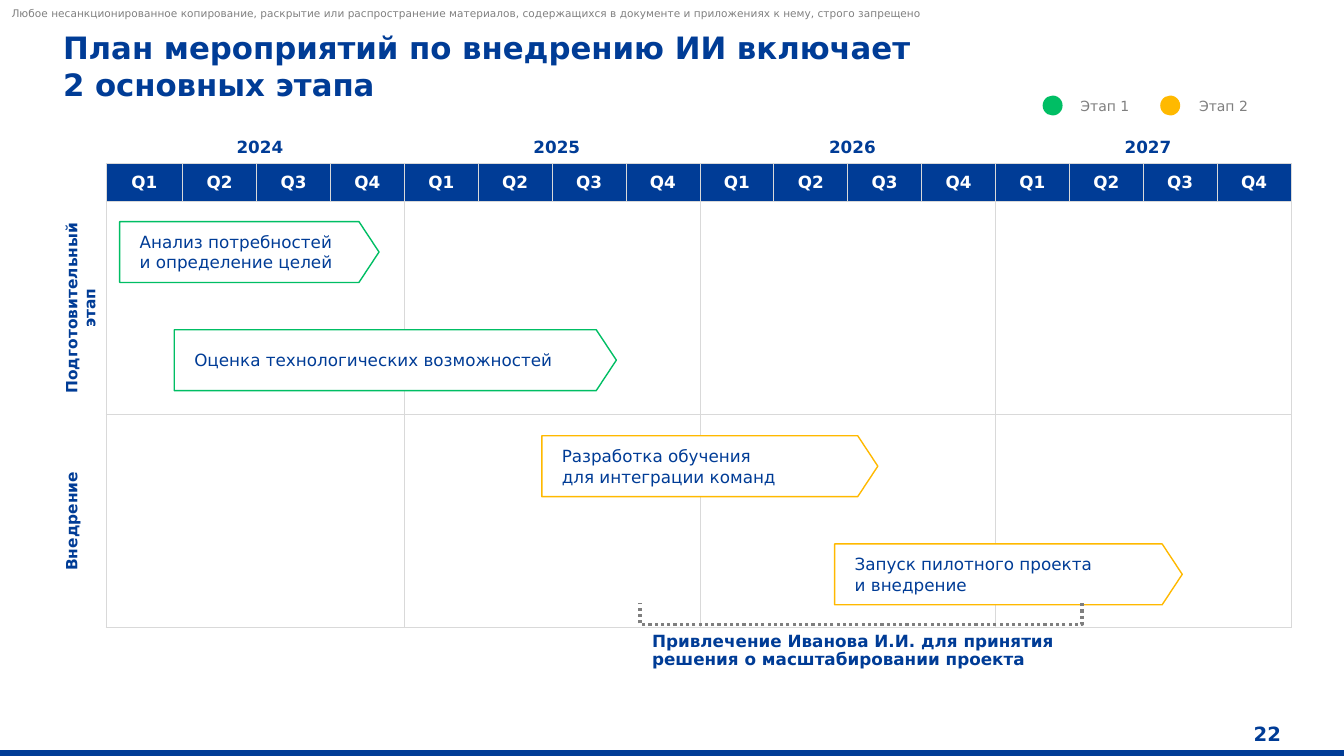
from lxml.etree import SubElement
from pptx import Presentation
from pptx.dml.color import RGBColor
from pptx.enum.dml import MSO_LINE
from pptx.enum.shapes import MSO_SHAPE
from pptx.enum.text import MSO_ANCHOR, PP_ALIGN
from pptx.oxml.ns import qn
from pptx.util import Pt

PX = 9525
FONT = "DejaVu Sans"
COLORS = {
    "blue": "003C96", "green": "00BE64", "yellow": "FFB900", "white": "FFFFFF",
    "gray": "7F7F7F", "caption": "808080", "grid": "D9D9D9",
}
YEARS = ["2024", "2025", "2026", "2027"]
STAGES = ["Подготовительный\nэтап", "Внедрение"]
TASKS = [
    ("Анализ потребностей\nи определение целей", 114, 211, 247, "green"),
    ("Разработка обучения\nдля интеграции команд", 516, 415, 320, "yellow"),
    ("Запуск пилотного проекта\nи внедрение", 795, 518, 331, "yellow"),
    ("Оценка технологических возможностей", 166, 314, 421, "green"),
]
LEGEND = [("Этап 1", 993, 1020, "green"), ("Этап 2", 1105, 1133, "yellow")]


def color(name):
    return RGBColor.from_string(COLORS[name])


class SlideBuilder:
    def __init__(self, presentation):
        self.slide = presentation.slides.add_slide(presentation.slide_layouts[5])
        self.shapes = self.slide.shapes

    def set_text(self, frame, text, size, ink="blue", bold=False, align=PP_ALIGN.LEFT):
        paragraph = frame.paragraphs[0]
        paragraph.text = text
        paragraph.alignment = align
        paragraph.font.name = FONT
        paragraph.font.size = Pt(size)
        paragraph.font.bold = bold
        paragraph.font.color.rgb = color(ink)
        return paragraph

    def frame(self, frame, anchor, margin=0):
        frame.word_wrap = True
        frame.vertical_anchor = anchor
        frame.margin_left = frame.margin_right = margin * PX
        frame.margin_top = frame.margin_bottom = 0

    def title(self, text, left, top, width, height):
        title = self.shapes.title
        title.left, title.top = left * PX, top * PX
        title.width, title.height = width * PX, height * PX
        self.frame(title.text_frame, MSO_ANCHOR.TOP)
        self.set_text(title.text_frame, text, 22, bold=True)

    def text(self, text, left, top, width, height, size,
             anchor=MSO_ANCHOR.TOP, margin=0, **style):
        box = self.shapes.add_textbox(left * PX, top * PX, width * PX, height * PX)
        self.frame(box.text_frame, anchor, margin)
        return self.set_text(box.text_frame, text, size, **style)

    def shape(self, kind, left, top, width, height, fill=None, line=None, weight=1):
        shape = self.shapes.add_shape(kind, left * PX, top * PX, width * PX, height * PX)
        shape.shadow.inherit = False
        if fill:
            shape.fill.solid()
            shape.fill.fore_color.rgb = color(fill)
        else:
            shape.fill.background()
        if line:
            shape.line.color.rgb = color(line)
            shape.line.width = Pt(weight)
        else:
            shape.line.fill.background()
        return shape

    def task(self, text, left, top, width, line):
        arrow = self.shape(MSO_SHAPE.PENTAGON, left, top, width, 58, "white", line)
        arrow.adjustments[0] = 0.33
        self.frame(arrow.text_frame, MSO_ANCHOR.MIDDLE, 19)
        self.set_text(arrow.text_frame, text, 12)

    def bracket(self, left, top, width, height):
        bracket = self.shape(MSO_SHAPE.LEFT_BRACKET, left, top, width, height,
                             line="gray", weight=2.25)
        bracket.adjustments[0] = 0
        bracket.rotation = 270
        bracket.line.dash_style = MSO_LINE.ROUND_DOT

    def borders(self, cell, sides):
        properties = cell._tc.get_or_add_tcPr()
        for side, visible in sides.items():
            line = SubElement(properties, qn(f"a:ln{side}"), w=str(Pt(0.5)))
            if visible:
                fill = SubElement(line, qn("a:solidFill"))
                SubElement(fill, qn("a:srgbClr"), val=COLORS["grid"])
            else:
                SubElement(line, qn("a:noFill"))

    def schedule(self, left, top):
        widths = [41 * PX, 73 * PX] + [1056 * PX // 15] * 15
        heights = [30 * PX, 36 * PX] + [203 * PX // 2] * 4
        graphic = self.shapes.add_table(len(heights), len(widths), left * PX, top * PX,
                                        sum(widths), sum(heights))
        table = graphic.table
        table.first_row = table.horz_banding = False
        for column, width in zip(table.columns, widths):
            column.width = width
        for row, height in zip(table.rows, heights):
            row.height = height

        def vertical(row, edge):
            return row >= 1 and edge >= 1 and (row == 1 or edge % 4 == 1)

        def horizontal(edge, column):
            return column >= 1 and edge in (1, 2, 4, 6)

        for row in range(len(heights)):
            for column in range(len(widths)):
                cell = table.cell(row, column)
                cell.margin_left = cell.margin_right = 0
                cell.margin_top = cell.margin_bottom = 0
                cell.vertical_anchor = MSO_ANCHOR.MIDDLE
                self.borders(cell, {
                    "L": vertical(row, column), "R": vertical(row, column + 1),
                    "T": horizontal(row, column), "B": horizontal(row + 1, column),
                })
                if row == 1 and column:
                    cell.fill.solid()
                    cell.fill.fore_color.rgb = color("blue")
                    self.set_text(cell.text_frame, f"Q{(column - 1) % 4 + 1}", 12,
                                  "white", True, PP_ALIGN.CENTER)
                else:
                    cell.fill.background()

        for index, year in enumerate(YEARS):
            first = 1 + index * 4
            cell = table.cell(0, first)
            cell.merge(table.cell(0, first + 3))
            cell.margin_left = 9 * PX
            self.set_text(cell.text_frame, year, 12, bold=True, align=PP_ALIGN.CENTER)
        for index, stage in enumerate(STAGES):
            first = 2 + index * 2
            cell = table.cell(first, 0)
            cell.merge(table.cell(first + 1, 0))
            cell._tc.get_or_add_tcPr().set("vert", "vert270")
            self.set_text(cell.text_frame, stage, 11, bold=True, align=PP_ALIGN.CENTER)


def main():
    presentation = Presentation()
    presentation.slide_width = 1280 * PX
    presentation.slide_height = 720 * PX
    builder = SlideBuilder(presentation)
    builder.shape(MSO_SHAPE.RECTANGLE, 0, 715, 1280, 5, "blue", "blue")
    builder.text("Любое несанкционированное копирование, раскрытие или распространение "
                 "материалов, содержащихся в документе и приложениях к нему, строго запрещено",
                 11, 7, 1102, 12, 7.5, MSO_ANCHOR.BOTTOM, ink="caption")
    builder.title("План мероприятий по внедрению ИИ включает\n2 основных этапа",
                  60, 27, 1050, 71)
    builder.text("22", 1165, 687, 55, 23, 14, MSO_ANCHOR.MIDDLE,
                 bold=True, align=PP_ALIGN.RIGHT)
    builder.schedule(60, 126)
    for task in TASKS:
        builder.task(*task)
    note = builder.text("Привлечение Иванова И.И. для принятия решения о масштабировании проекта",
                        621, 603, 421, 35, 12, bold=True)
    note.line_spacing = 0.9
    builder.bracket(810, 374, 20, 421)
    for label, dot_left, text_left, fill in LEGEND:
        builder.shape(MSO_SHAPE.OVAL, dot_left, 91, 19, 19, fill)
        builder.text(label, text_left, 91, 80, 19, 10, MSO_ANCHOR.MIDDLE, 9, ink="gray")
    presentation.save("out.pptx")


if __name__ == "__main__":
    main()
